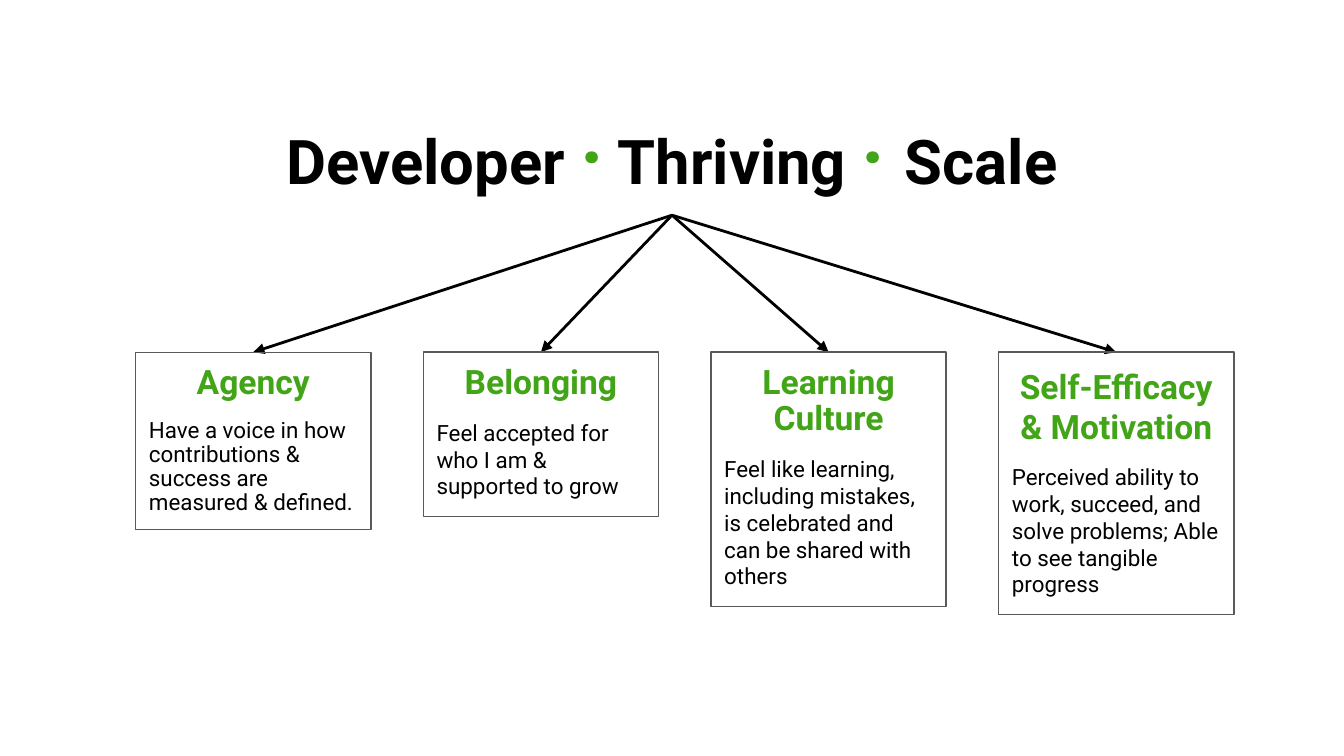
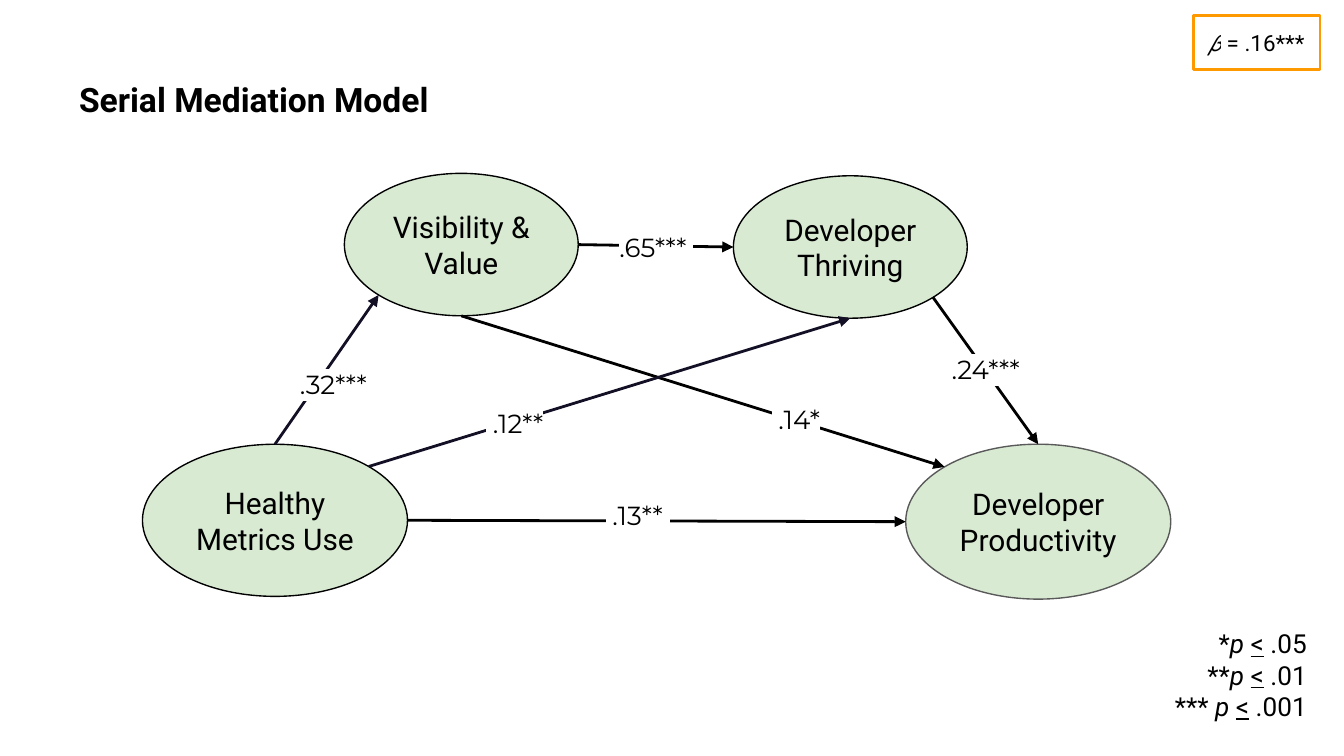
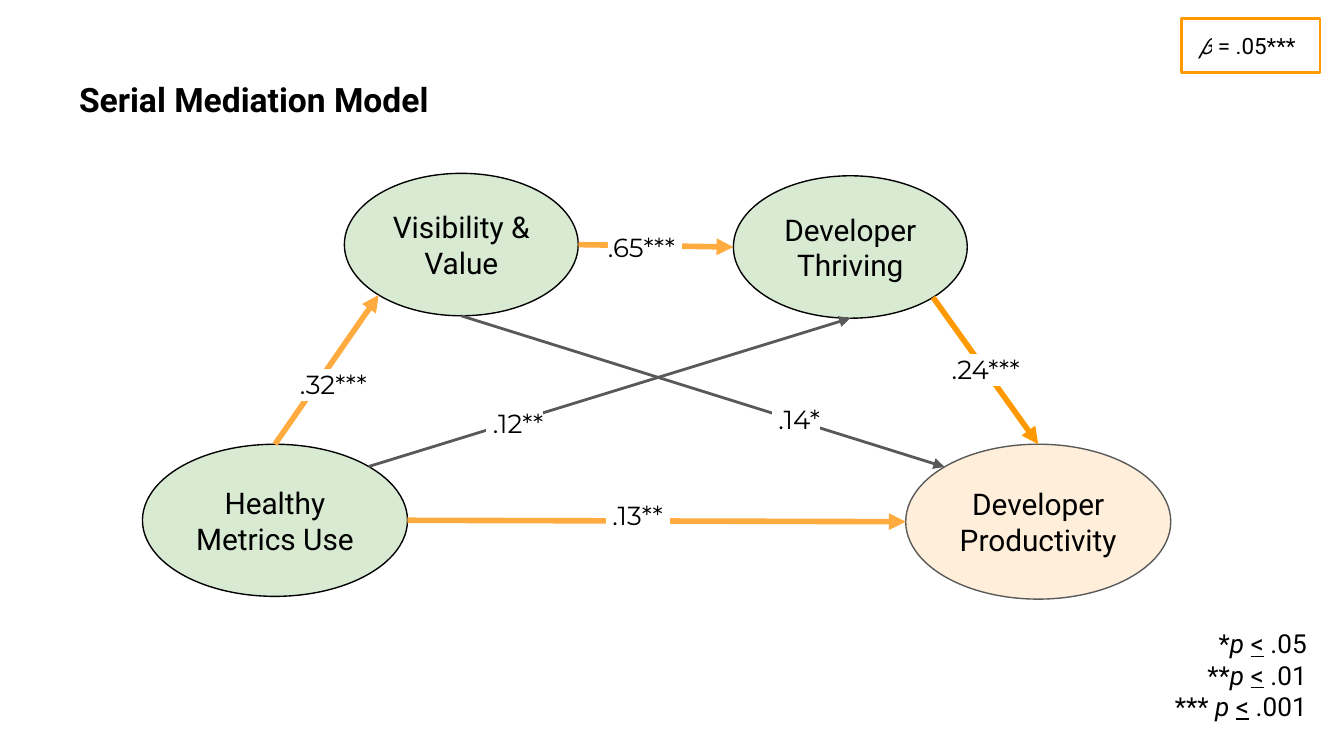
from math import cos, radians, sin

from lxml import etree
from pptx import Presentation
from pptx.dml.color import RGBColor
from pptx.enum.shapes import MSO_CONNECTOR, MSO_SHAPE
from pptx.enum.text import MSO_ANCHOR, MSO_AUTO_SIZE, PP_ALIGN
from pptx.oxml.ns import qn
from pptx.util import Pt

RECT, OVAL = MSO_SHAPE.RECTANGLE, MSO_SHAPE.OVAL
STRAIGHT = MSO_CONNECTOR.STRAIGHT
LEFT, CENTER, RIGHT = PP_ALIGN.LEFT, PP_ALIGN.CENTER, PP_ALIGN.RIGHT
TOP, MIDDLE = MSO_ANCHOR.TOP, MSO_ANCHOR.MIDDLE
FIT, FIXED = MSO_AUTO_SIZE.SHAPE_TO_FIT_TEXT, MSO_AUTO_SIZE.NONE

BLACK, WHITE, GRAY, NAVY = "000000", "FFFFFF", "595959", "130F25"
GREEN, MINT, PEACH = "42A417", "D9EAD3", "FFEED9"
ORANGE, AMBER = "FF9900", "FFAB40"
BODY_FONT, LABEL_FONT = "Roboto", "Montserrat"

SCALE_TITLE = [("Developer ", BLACK, 33), ("·", GREEN, 42), (" Thriving ", BLACK, 33),
               ("· ", GREEN, 42), ("Scale", BLACK, 33)]
CARDS = [
    ("Agency", "Have a voice in how contributions & success are measured & defined.", 95, 0.9, 0.9),
    ("Belonging", "Feel accepted for who I am & supported to grow", 88, 0.9, 1),
    ("Learning Culture", "Feel like learning, including mistakes, is celebrated "
     "and can be shared with others", 136.4, 0.9, 1),
    ("Self-Efficacy & Motivation", "Perceived ability to work, succeed, and solve problems; "
     "Able to see tangible progress", 140.6, 1, 1),
]
CARD_LEFT, CARD_TOP, CARD_W, CARD_STEP = 72.7, 188.7, 126, 154.1
HUB = (360, 115.3)

MODEL_TITLE = "Serial Mediation Model"
LEGEND = [("*", ".05"), ("**", ".01"), ("*** ", ".001")]
NODES = {
    "productivity": ("Developer Productivity", (485.2, 238, 142, 83), GRAY),
    "visibility": ("Visibility & Value", (184.5, 92.9, 125.3, 76.3), BLACK),
    "thriving": ("Developer Thriving", (392.9, 94.2, 125.3, 76.3), BLACK),
    "metrics": ("Healthy Metrics Use", (76.3, 238, 142, 81.5), BLACK),
}
PATHS = [
    ("visibility", "bottom", "productivity", "top left", " .14*", (405.4, 208.8, 41.8)),
    ("thriving", "bottom right", "productivity", "top", " .24*** ", (496.8, 182.2, 62.6)),
    ("visibility", "right", "thriving", "left", ".65*** ", (320.4, 116.6, 62.6)),
    ("metrics", "top", "visibility", "bottom left", " .32*** ", (149.8, 190.1, 57.6)),
    ("metrics", "top right", "thriving", "bottom", " .12**", (252, 211, 47.5)),
    ("metrics", "right", "productivity", "left", " .13** ", (313.9, 260.6, 55.4)),
]
ANGLES = {"right": 0, "top right": 45, "top": 90, "top left": 135, "left": 180,
          "bottom left": 225, "bottom": 270, "bottom right": 315}
THIN, THICK = 1.5, 3
MODELS = [
    dict(beta=" = .16*** ", beta_box=(639.4, 8.4, 67.8, 29), outcome=MINT, shifts={},
         strokes=[(BLACK, THIN)] * 3 + [(NAVY, THIN)] * 2 + [(BLACK, THIN)]),
    dict(beta=" = .05*** ", beta_box=(632.9, 9.8, 74.3, 29), outcome=PEACH,
         shifts={".65*** ": -6.2},
         strokes=[(GRAY, THIN), (ORANGE, THICK), (AMBER, THICK), (AMBER, THICK),
                  (GRAY, THIN), (AMBER, THICK)]),
]


def rgb(color):
    return RGBColor.from_string(color)


def add_slide():
    return prs.slides.add_slide(prs.slide_layouts[6])


def add_run(p, text, size=12, color=BLACK, font=BODY_FONT, bold=False, italic=False,
            underline=False, highlight=None):
    r = p.add_run()
    r.text = text
    f = r.font
    f.size, f.bold, f.italic, f.underline = Pt(size), bold, italic, underline
    f.color.rgb = rgb(color)
    if highlight:
        mark = etree.SubElement(r._r.get_or_add_rPr(), qn("a:highlight"))
        etree.SubElement(mark, qn("a:srgbClr"), val=highlight)
    f.name = font


def add_para(tf, runs, align=LEFT, spacing=1, before=0):
    p = tf.paragraphs[0]
    if p.runs:
        p = tf.add_paragraph()
    p.alignment, p.line_spacing, p.space_before = align, spacing, Pt(before)
    for text, fmt in runs:
        add_run(p, text, **fmt)


def set_frame(sp, anchor=TOP, fit=FIT):
    tf = sp.text_frame
    tf.word_wrap, tf.auto_size, tf.vertical_anchor = True, fit, anchor
    tf.margin_left = tf.margin_right = tf.margin_top = tf.margin_bottom = Pt(7.2)
    return tf


def add_text(slide, box):
    return set_frame(slide.shapes.add_textbox(*map(Pt, box)))


def add_box(slide, kind, box, line, width=0.75, fill=None, anchor=TOP, fit=FIT):
    sp = slide.shapes.add_shape(kind, *map(Pt, box))
    sp.shadow.inherit = False
    if fill:
        sp.fill.solid()
        sp.fill.fore_color.rgb = rgb(fill)
    else:
        sp.fill.background()
    sp.line.color.rgb, sp.line.width = rgb(line), Pt(width)
    return set_frame(sp, anchor, fit)


def add_arrow(slide, start, end, color=BLACK, width=THIN):
    cn = slide.shapes.add_connector(STRAIGHT, *map(Pt, start + end))
    cn.line.color.rgb, cn.line.width = rgb(color), Pt(width)
    etree.SubElement(cn.line._get_or_add_ln(), qn("a:tailEnd"), type="triangle")
    etree.SubElement(cn._element.spPr, qn("a:effectLst"))


def rim_point(node, side):
    x, y, w, h = NODES[node][1]
    a = radians(ANGLES[side])
    return x + w / 2 * (1 + cos(a)), y + h / 2 * (1 - sin(a))


def build_scale():
    slide = add_slide()
    tf = add_text(slide, (139, 49.8, 442, 65.5))
    add_para(tf, [(t, dict(size=s, color=c, bold=True)) for t, c, s in SCALE_TITLE], CENTER)
    for i, (head, body, height, head_ls, body_ls) in enumerate(CARDS):
        x = CARD_LEFT + i * CARD_STEP
        add_arrow(slide, HUB, (x + CARD_W / 2, CARD_TOP))
        tf = add_box(slide, RECT, (x, CARD_TOP, CARD_W, height), GRAY)
        add_para(tf, [(head, dict(size=18, color=GREEN, bold=True))], CENTER, head_ls)
        add_para(tf, [(body, dict(size=12))], LEFT, body_ls, before=9)


def build_model(beta, beta_box, outcome, shifts, strokes):
    slide = add_slide()
    tf = add_text(slide, (35.3, 37.4, 236, 34))
    add_para(tf, [(MODEL_TITLE, dict(size=18, bold=True))], spacing=0.9)
    tf = add_text(slide, (619.2, 329, 88, 65.5))
    for stars, level in LEGEND:
        add_para(tf, [(stars, dict(size=14)), ("p ", dict(size=14, italic=True)),
                      ("<", dict(size=14, underline=True)), (" " + level, dict(size=14))], RIGHT)
    for key, (name, box, line) in NODES.items():
        fill = outcome if key == "productivity" else MINT
        tf = add_box(slide, OVAL, box, line, fill=fill, anchor=MIDDLE, fit=FIXED)
        add_para(tf, [(name, dict(size=16))], CENTER)
    for (a, a_side, b, b_side, *_), stroke in zip(PATHS, strokes):
        add_arrow(slide, rim_point(a, a_side), rim_point(b, b_side), *stroke)
    for *_, label, (x, y, w) in PATHS:
        tf = add_text(slide, (x + shifts.get(label, 0), y, w, 31.5))
        add_para(tf, [(label, dict(size=14, font=LABEL_FONT, highlight=WHITE))], CENTER)
    tf = add_box(slide, RECT, beta_box, ORANGE, THIN)
    add_para(tf, [("𝛽", dict(italic=True, highlight=WHITE)),
                  (beta, dict(highlight=WHITE))], CENTER)


prs = Presentation()
prs.slide_width, prs.slide_height = Pt(720), Pt(405)
build_scale()
for model in MODELS:
    build_model(**model)
prs.save("out.pptx")
